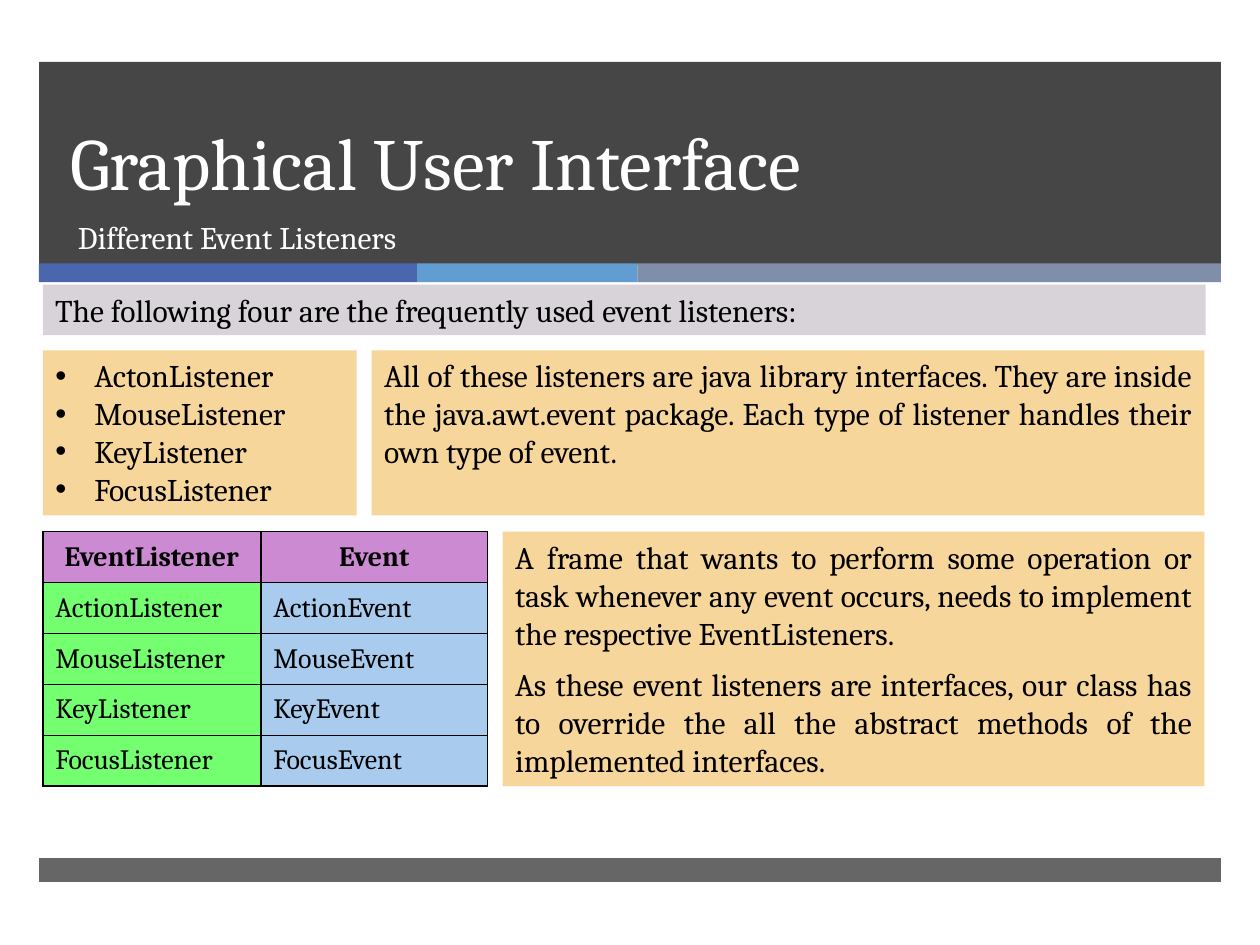
from lxml import etree
from pptx import Presentation
from pptx.dml.color import RGBColor
from pptx.enum.shapes import MSO_SHAPE
from pptx.enum.text import MSO_ANCHOR, PP_ALIGN
from pptx.oxml.ns import qn
from pptx.util import Inches, Pt

RECT = MSO_SHAPE.RECTANGLE
TOP, MIDDLE, BOTTOM = MSO_ANCHOR.TOP, MSO_ANCHOR.MIDDLE, MSO_ANCHOR.BOTTOM
LEFT, CENTER, JUSTIFY = PP_ALIGN.LEFT, PP_ALIGN.CENTER, PP_ALIGN.JUSTIFY
FONT = "Cambria"
BLACK, WHITE, DARK = "000000", "FFFFFF", "262626"
SAND, GRAY, PLUM, GREEN, BLUE = "F7D69B", "D8D3D9", "CB8AD2", "74FF71", "A9CCEE"

# place, fill, opacity in percent
BANDS = [
    ((0.31, 0.49, 9.38, 1.61), DARK, 85),
    ((0.31, 2.09, 3, 0.15), "4A66AC", 100),
    ((3.31, 2.09, 1.75, 0.15), "629DD1", 100),
    ((5.06, 2.09, 4.63, 0.15), "7F8FA9", 100),
    ((0.31, 6.81, 9.38, 0.19), DARK, 70),
]
# place, text, anchor, size, line spacing
HEADS = [
    ((0.46, 0.49, 8.54, 1.19), "Graphical User Interface", BOTTOM, 42, Pt(46)),
    ((0.52, 1.68, 8.48, 0.53), "Different Event Listeners", TOP, 18, None),
]
# place, fill, paragraphs, bulleted
BOXES = [
    ((0.34, 2.78, 2.49, 1.31), SAND,
     ["ActonListener", "MouseListener", "KeyListener", "FocusListener"], True),
    ((2.95, 2.78, 6.61, 1.31), SAND,
     ["All of these listeners are java library interfaces. They are inside "
      "the java.awt.event package. Each type of listener handles their own "
      "type of event."], False),
    ((0.34, 2.26, 9.23, 0.4), GRAY,
     ["The following four are the frequently used event listeners:"], False),
    ((3.99, 4.22, 5.57, 1.01), SAND,
     ["A frame that wants to perform some operation or task whenever any "
      "event occurs, needs to implement the respective EventListeners."], False),
    ((3.99, 5.23, 5.57, 1.01), SAND,
     ["As these event listeners are interfaces, our class has to override the "
      "all the abstract methods of the implemented interfaces."], False),
]
GRID = (0.34, 4.22, 3.53, 2.02)
WIDTHS = [1.73, 1.8]
ROWS = [("EventListener", "Event")] + [
    (name + "Listener", name + "Event")
    for name in ("Action", "Mouse", "Key", "Focus")]


def color(code):
    """Turn a hex string into a colour."""
    return RGBColor.from_string(code)


def inches(place):
    """Turn numbers into lengths."""
    return [Inches(n) for n in place]


def assign(target, values):
    """Set attributes from a dict."""
    for name, value in values.items():
        setattr(target, name, value)


def write(frame, lines, size, code=BLACK, bold=False, **style):
    """Fill a text frame with styled paragraphs."""
    for i, line in enumerate(lines):
        para = frame.add_paragraph() if i else frame.paragraphs[0]
        assign(para, style)
        run = para.add_run()
        run.text = line
        assign(run.font, {"name": FONT, "size": Pt(size), "bold": bold})
        run.font.color.rgb = color(code)


def block(shapes, place, code, alpha=100):
    """Draw a plain rectangle."""
    shape = shapes.add_shape(RECT, *inches(place))
    shape.shadow.inherit = False
    shape.fill.solid()
    shape.fill.fore_color.rgb = color(code)
    shape.line.fill.background()
    if alpha < 100:
        tint = shape.fill._xPr.find(".//" + qn("a:srgbClr"))
        etree.SubElement(tint, qn("a:alpha"), val=str(alpha * 1000))
    return shape


def bullet(para):
    """Give a paragraph a hanging bullet."""
    props = para._p.get_or_add_pPr()
    props.set("marL", str(Inches(0.31)))
    props.set("indent", str(-Inches(0.31)))
    etree.SubElement(props, qn("a:buFont"), typeface="Arial")
    etree.SubElement(props, qn("a:buChar"), char="\u2022")


def border(cell):
    """Draw thin black lines round a cell."""
    props = cell._tc.get_or_add_tcPr()
    for i, side in enumerate(("lnL", "lnR", "lnT", "lnB")):
        line = etree.Element(qn("a:" + side), w=str(Pt(1)))
        fill = etree.SubElement(line, qn("a:solidFill"))
        etree.SubElement(fill, qn("a:srgbClr"), val=BLACK)
        props.insert(i, line)


def grid(shapes):
    """Build the table of listeners and events."""
    table = shapes.add_table(len(ROWS), len(WIDTHS), *inches(GRID)).table
    for col, width in zip(table.columns, WIDTHS):
        col.width = Inches(width)
    for r, row in enumerate(ROWS):
        for c, text in enumerate(row):
            cell = table.cell(r, c)
            cell.vertical_anchor = MIDDLE
            cell.fill.solid()
            cell.fill.fore_color.rgb = color((GREEN, BLUE)[c] if r else PLUM)
            border(cell)
            write(cell.text_frame, [text], 16, bold=r == 0,
                  alignment=LEFT if r else CENTER)


def main():
    """Build and save the slide."""
    deck = Presentation()
    deck.slide_width, deck.slide_height = Inches(10), Inches(7.5)
    shapes = deck.slides.add_slide(deck.slide_layouts[6]).shapes
    for place, code, alpha in BANDS:
        block(shapes, place, code, alpha)
    for place, text, anchor, size, space in HEADS:
        frame = shapes.add_textbox(*inches(place)).text_frame
        assign(frame, {"word_wrap": True, "vertical_anchor": anchor})
        write(frame, [text], size, WHITE, line_spacing=space)
    for place, code, lines, marked in BOXES:
        frame = block(shapes, place, code).text_frame
        assign(frame, {"word_wrap": True, "vertical_anchor": TOP})
        write(frame, lines, 18, alignment=JUSTIFY)
        if marked:
            for para in frame.paragraphs:
                bullet(para)
    grid(shapes)
    deck.save("out.pptx")


main()
